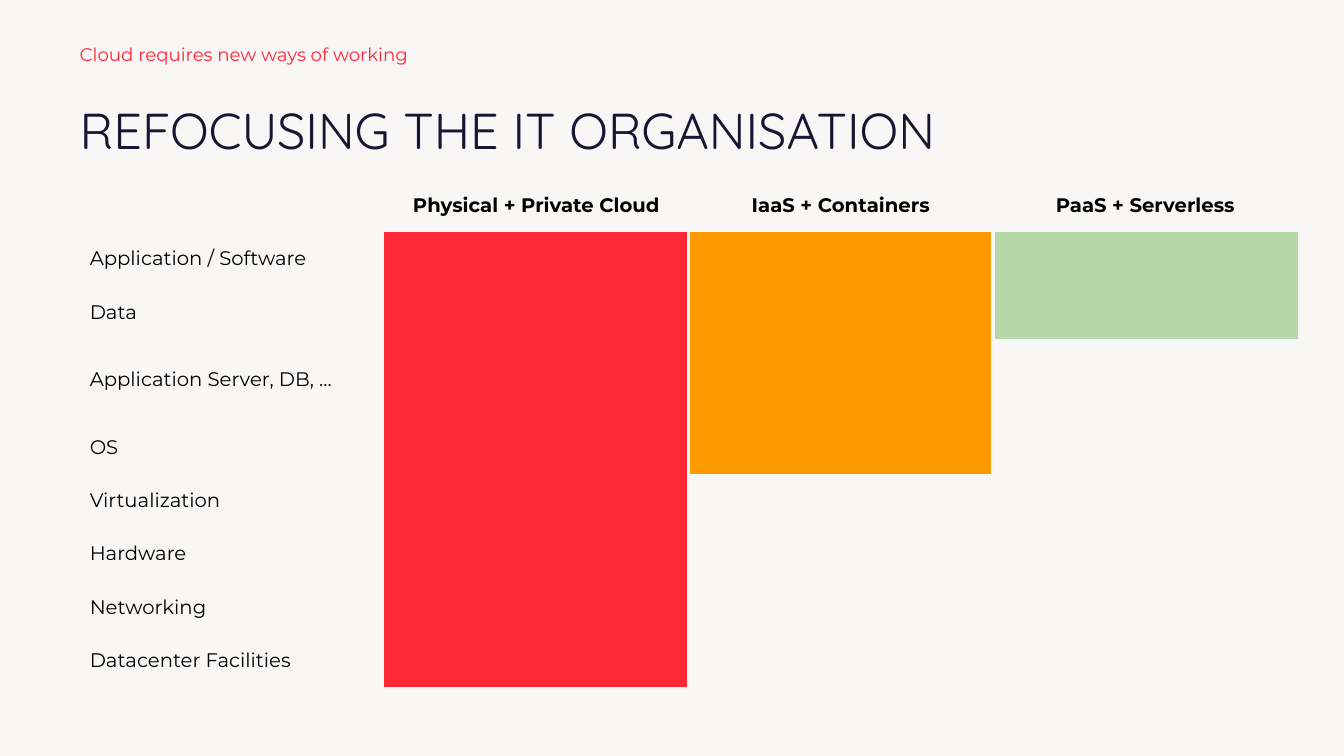
from lxml.etree import SubElement
from pptx import Presentation
from pptx.dml.color import RGBColor
from pptx.enum.text import MSO_ANCHOR, PP_ALIGN
from pptx.oxml.ns import qn
from pptx.util import Inches, Pt

COLORS = {
    "background": "F8F7F6",
    "navy": "161632",
    "black": "000000",
    "red": "FF2837",
    "orange": "FF9900",
    "green": "B6D7A8",
}
PLAIN_TABLE_STYLE = "{2D5ABB26-0587-4C30-8999-92F81FD0307C}"
LAYERS = [
    "Application / Software",
    "Data",
    "Application Server, DB, ...",
    "OS",
    "Virtualization",
    "Hardware",
    "Networking",
    "Datacenter Facilities",
]
MODELS = [
    ("Physical + Private Cloud", "red", 8),
    ("IaaS + Containers", "orange", 4),
    ("PaaS + Serverless", "green", 2),
]
ROW_HEIGHTS = [0.53] * 3 + [0.81] + [0.53] * 5
COLUMN_WIDTH = 3.02


class SlideBuilder:
    body_font = "Montserrat"
    title_font = "Quicksand"

    def __init__(self, slide):
        self.slide = slide
        fill = slide.background.fill
        fill.solid()
        fill.fore_color.rgb = self.color("background")

    def color(self, name):
        return RGBColor.from_string(COLORS[name])

    def style(self, paragraph, font, size, color, bold=False):
        paragraph.font.name = font
        paragraph.font.size = Pt(size)
        paragraph.font.color.rgb = self.color(color)
        paragraph.font.bold = bold

    def text(self, wording, box, font, size, color, spacing=1.0):
        frame = self.slide.shapes.add_textbox(*map(Inches, box)).text_frame
        frame.word_wrap = True
        frame.margin_left = frame.margin_right = 0
        frame.margin_top = frame.margin_bottom = 0
        paragraph = frame.paragraphs[0]
        paragraph.text = wording
        paragraph.line_spacing = spacing
        self.style(paragraph, font, size, color)

    def table(self, left, top, row_heights, column_widths):
        table = self.slide.shapes.add_table(
            len(row_heights), len(column_widths), Inches(left), Inches(top),
            Inches(sum(column_widths)), Inches(sum(row_heights)),
        ).table
        table.first_row = False
        table.horz_banding = False
        table._tbl.tblPr.find(qn("a:tableStyleId")).text = PLAIN_TABLE_STYLE
        for row, height in zip(table.rows, row_heights):
            row.height = Inches(height)
        for column, width in zip(table.columns, column_widths):
            column.width = Inches(width)
        return table

    def label(self, cell, wording, heading=False):
        cell.vertical_anchor = MSO_ANCHOR.MIDDLE
        cell.margin_left = cell.margin_right = Inches(0.1)
        cell.margin_top = cell.margin_bottom = Inches(0.1)
        paragraph = cell.text_frame.paragraphs[0]
        paragraph.text = wording
        paragraph.alignment = PP_ALIGN.CENTER if heading else PP_ALIGN.LEFT
        self.style(paragraph, self.body_font, 14, "black", heading)

    def fill(self, cell, color=None):
        if color:
            cell.fill.solid()
            cell.fill.fore_color.rgb = self.color(color)
        else:
            cell.fill.background()

    def border(self, cell, side):
        properties = cell._tc.get_or_add_tcPr()
        line = SubElement(properties, qn(f"a:ln{side}"), w=str(Pt(3)))
        solid = SubElement(line, qn("a:solidFill"))
        SubElement(solid, qn("a:srgbClr"), val=COLORS["background"])


def main():
    deck = Presentation()
    deck.slide_width, deck.slide_height = Inches(13.33), Inches(7.5)
    builder = SlideBuilder(deck.slides.add_slide(deck.slide_layouts[6]))

    builder.text("REFOCUSING THE IT ORGANISATION", (0.79, 0.98, 11.81, 0.79),
                 builder.title_font, 36, "navy")
    builder.text("Cloud requires new ways of working", (0.79, 0.45, 5.51, 0.39),
                 builder.body_font, 13, "red", 0.9)

    stack = builder.table(0.79, 1.77, ROW_HEIGHTS,
                          [COLUMN_WIDTH] * (len(MODELS) + 1))
    builder.fill(stack.cell(0, 0))
    for row, layer in enumerate(LAYERS, 1):
        builder.label(stack.cell(row, 0), layer)
        builder.fill(stack.cell(row, 0))
    for column, (model, color, managed_layers) in enumerate(MODELS, 1):
        builder.label(stack.cell(0, column), model, heading=True)
        for row in range(len(LAYERS) + 1):
            cell = stack.cell(row, column)
            if column > 1:
                builder.border(cell, "L")
            if column < len(MODELS):
                builder.border(cell, "R")
            builder.fill(cell, color if 1 <= row <= managed_layers else None)

    deck.save("out.pptx")


if __name__ == "__main__":
    main()
